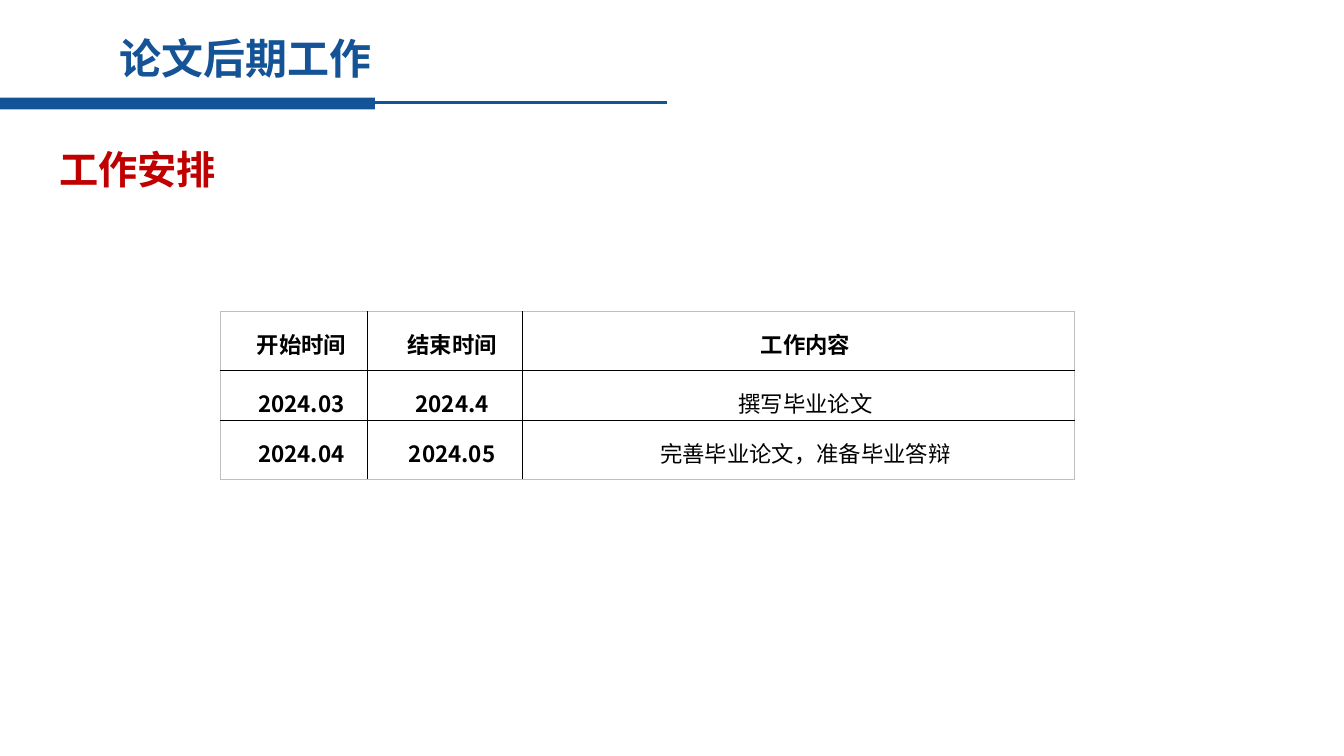
from pptx import Presentation
from pptx.dml.color import RGBColor
from pptx.enum.shapes import MSO_CONNECTOR as Connector, MSO_SHAPE as Shape
from pptx.enum.text import MSO_AUTO_SIZE as AutoSize, PP_ALIGN as Align
from pptx.oxml.ns import qn
from pptx.util import Cm, Pt
from lxml.etree import SubElement

COLORS = {"blue": "145396", "red": "C00000", "black": "000000", "gray": "BFBFBF"}
FONT = "Noto Sans CJK SC"
SCHEDULE = [
    ("开始时间", "结束时间", "工作内容"),
    ("2024.03", "2024.4", "撰写毕业论文"),
    ("2024.04", "2024.05", "完善毕业论文，准备毕业答辩"),
]
COLUMN_WIDTHS = (3.71, 3.89, 13.92)
ROW_HEIGHTS = (1.48, 1.27, 1.49)
CELL_FORMAT = {"margin_left": Cm(0.18), "margin_right": Cm(0.18),
               "margin_top": 0, "margin_bottom": 0}


def color(name):
    """Return a named colour of the slide."""
    return RGBColor.from_string(COLORS[name])


def write(para, text, size, tint, bold=True, spacing=1.25):
    """Fill a paragraph with one formatted span."""
    para.line_spacing = spacing
    span = para.add_run()
    span.text = text
    formats = {"name": FONT, "size": Pt(size), "bold": bold}
    for key, value in formats.items():
        setattr(span.font, key, value)
    span.font.color.rgb = color(tint)
    SubElement(span.font._element, qn("a:ea"), typeface=FONT)


def add_heading(page, box, text, size, tint, wrap=True):
    """Place a one-line heading in the given box."""
    frame = page.shapes.add_textbox(*map(Cm, box)).text_frame
    for key, value in {"word_wrap": wrap, "auto_size": AutoSize.SHAPE_TO_FIT_TEXT}.items():
        setattr(frame, key, value)
    write(frame.paragraphs[0], text, size, tint)


def add_title_rule(page, box):
    """Draw the thick bar and the thin line that runs on from it."""
    left, top, width, height = box
    bar_width = 9.45
    bar = page.shapes.add_shape(Shape.RECTANGLE, *map(Cm, (left, top, bar_width, height)))
    bar.shadow.inherit = False
    bar.fill.solid()
    bar.fill.fore_color.rgb = color("blue")
    bar.line.fill.background()
    middle = top + height / 2 - 0.03
    line = page.shapes.add_connector(
        Connector.STRAIGHT, *map(Cm, (left + bar_width - 0.1, middle, left + width, middle)))
    line.line.color.rgb = color("blue")
    line.line.width = Pt(2.25)
    SubElement(line._element.spPr, qn("a:effectLst"))


def add_borders(cell, outer_sides):
    """Draw black inner borders and gray outer ones."""
    for side in "LRTB":
        outer = side in outer_sides
        width = Pt(0.5) if outer else Pt(1)
        border = SubElement(cell._tc.get_or_add_tcPr(), qn(f"a:ln{side}"), w=str(width))
        fill = SubElement(border, qn("a:solidFill"))
        SubElement(fill, qn("a:srgbClr"), val=COLORS["gray" if outer else "black"])


def add_schedule(page, left, top):
    """Place the schedule table with its top left corner at the given point."""
    box = (left, top, sum(COLUMN_WIDTHS), sum(ROW_HEIGHTS))
    table = page.shapes.add_table(
        len(ROW_HEIGHTS), len(COLUMN_WIDTHS), *map(Cm, box)).table
    for key in ("first_row", "horz_banding"):
        setattr(table, key, False)
    for column, width in zip(table.columns, COLUMN_WIDTHS):
        column.width = Cm(width)
    last_row, last_column = len(ROW_HEIGHTS) - 1, len(COLUMN_WIDTHS) - 1
    for r, (row, texts) in enumerate(zip(table.rows, SCHEDULE)):
        row.height = Cm(ROW_HEIGHTS[r])
        for c, (cell, text) in enumerate(zip(row.cells, texts)):
            for key, value in CELL_FORMAT.items():
                setattr(cell, key, value)
            edges = {"L": c == 0, "R": c == last_column, "T": r == 0, "B": r == last_row}
            add_borders(cell, [side for side, outer in edges.items() if outer])
            cell.fill.background()
            para = cell.text_frame.paragraphs[0]
            para.alignment = Align.CENTER
            para._p.get_or_add_pPr().set("indent", str(Cm(0.36)))
            write(para, text, 16, "black", r == 0 or c < last_column, 1.5)


def main():
    """Build the slide and save the deck."""
    deck = Presentation()
    deck.slide_width, deck.slide_height = Cm(33.87), Cm(19.05)
    page = deck.slides.add_slide(deck.slide_layouts[6])
    add_title_rule(page, (0, 2.46, 16.81, 0.3))
    add_heading(page, (2.77, 0.38, 21.89, 1.7), "论文后期工作", 30, "blue")
    add_heading(page, (1.24, 3.25, 4.5, 1.63), "工作安排", 28, "red", wrap=False)
    add_schedule(page, 5.56, 7.85)
    deck.save("out.pptx")


if __name__ == "__main__":
    main()
